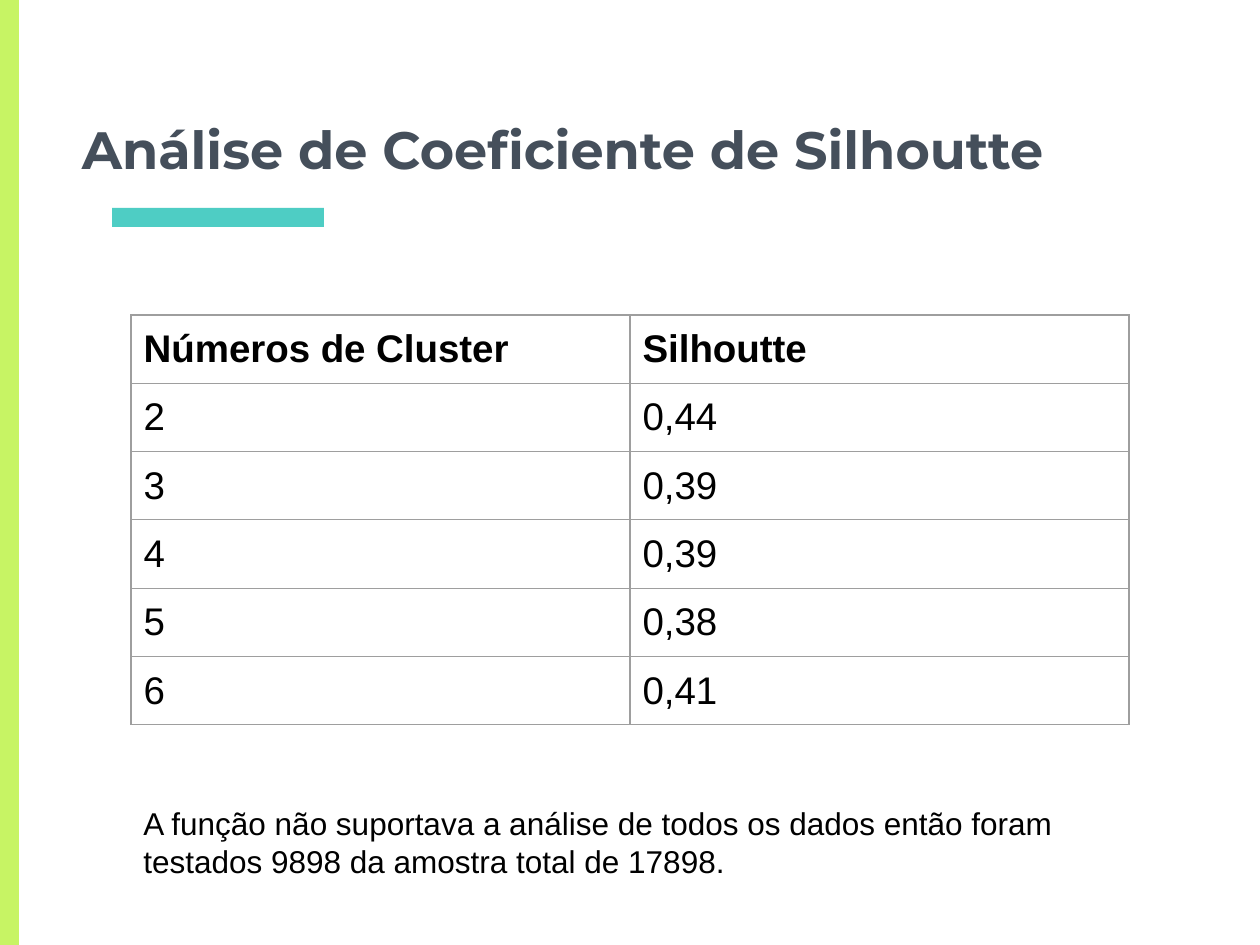
from lxml import etree
from pptx import Presentation
from pptx.dml.color import RGBColor
from pptx.enum import shapes, text
from pptx.oxml import ns
from pptx.util import Inches, Pt

# Content
TITLE = "Análise de Coeficiente de Silhoutte"
ROWS = [
    ("Números de Cluster", "Silhoutte"),
    ("2", "0,44"),
    ("3", "0,39"),
    ("4", "0,39"),
    ("5", "0,38"),
    ("6", "0,41"),
]
NOTE = ("A função não suportava a análise de todos os dados então foram "
        "testados 9898 da amostra total de 17898.")
BARS = [((0.89, 1.65, 1.68, 0.15), "4ECDC4"), ((0, 0, 0.15, 7.5), "C7F464")]
COL_W, ROW_H = 3.96, 0.54
BORDER = "9E9E9E"


def rgb(value):
    return RGBColor.from_string(value)


def box(*lengths):
    return [Inches(v) for v in lengths]


def set_margins(frame):
    for side in ("left", "top", "right", "bottom"):
        setattr(frame, f"margin_{side}", Inches(0.1))


def add_run(p, words, size, font="Arial", color="000000", bold=False):
    r = p.add_run()
    r.text = words
    r.font.size, r.font.name, r.font.bold = Pt(size), font, bold
    r.font.color.rgb = rgb(color)


def add_borders(cell):
    tc_pr = cell._tc.get_or_add_tcPr()
    for i, edge in enumerate(("lnL", "lnR", "lnT", "lnB")):
        ln = etree.Element(ns.qn(f"a:{edge}"), w=str(Pt(0.75)))
        fill = etree.SubElement(ln, ns.qn("a:solidFill"))
        etree.SubElement(fill, ns.qn("a:srgbClr"), val=BORDER)
        tc_pr.insert(i, ln)


prs = Presentation()
prs.slide_width, prs.slide_height = box(10, 7.5)
s = prs.slides.add_slide(prs.slide_layouts[5])
s.background.fill.solid()
s.background.fill.fore_color.rgb = rgb("FFFFFF")

# Accent bars
for place, color in BARS:
    sp = s.shapes.add_shape(shapes.MSO_SHAPE.RECTANGLE, *box(*place))
    sp.shadow.inherit = False
    sp.fill.solid()
    sp.fill.fore_color.rgb = rgb(color)
    sp.line.fill.background()

# Title
title = s.shapes.title
title.left, title.top, title.width, title.height = box(0.55, 0.54, 8.9, 0.99)
tf = title.text_frame
set_margins(tf)
tf.word_wrap = True
tf.auto_size = text.MSO_AUTO_SIZE.NONE
tf.vertical_anchor = text.MSO_ANCHOR.BOTTOM
p = tf.paragraphs[0]
p.alignment = text.PP_ALIGN.LEFT
add_run(p, TITLE, 30, "Montserrat", "454F5B", True)

# Table of scores
n_rows, n_cols = len(ROWS), len(ROWS[0])
table = s.shapes.add_table(
    n_rows, n_cols, *box(1.04, 2.5, COL_W * n_cols, ROW_H * n_rows)).table
table.horz_banding = False
for col in table.columns:
    col.width = Inches(COL_W)
for i, values in enumerate(ROWS):
    table.rows[i].height = Inches(ROW_H)
    for j, value in enumerate(values):
        cell = table.cell(i, j)
        set_margins(cell)
        cell.fill.background()
        add_borders(cell)
        add_run(cell.text_frame.paragraphs[0], value, 22, bold=i == 0)

# Note under the table
tf = s.shapes.add_textbox(*box(1.04, 6.28, 8.35, 0.99)).text_frame
set_margins(tf)
tf.word_wrap = True
add_run(tf.paragraphs[0], NOTE, 18)

prs.save("out.pptx")
